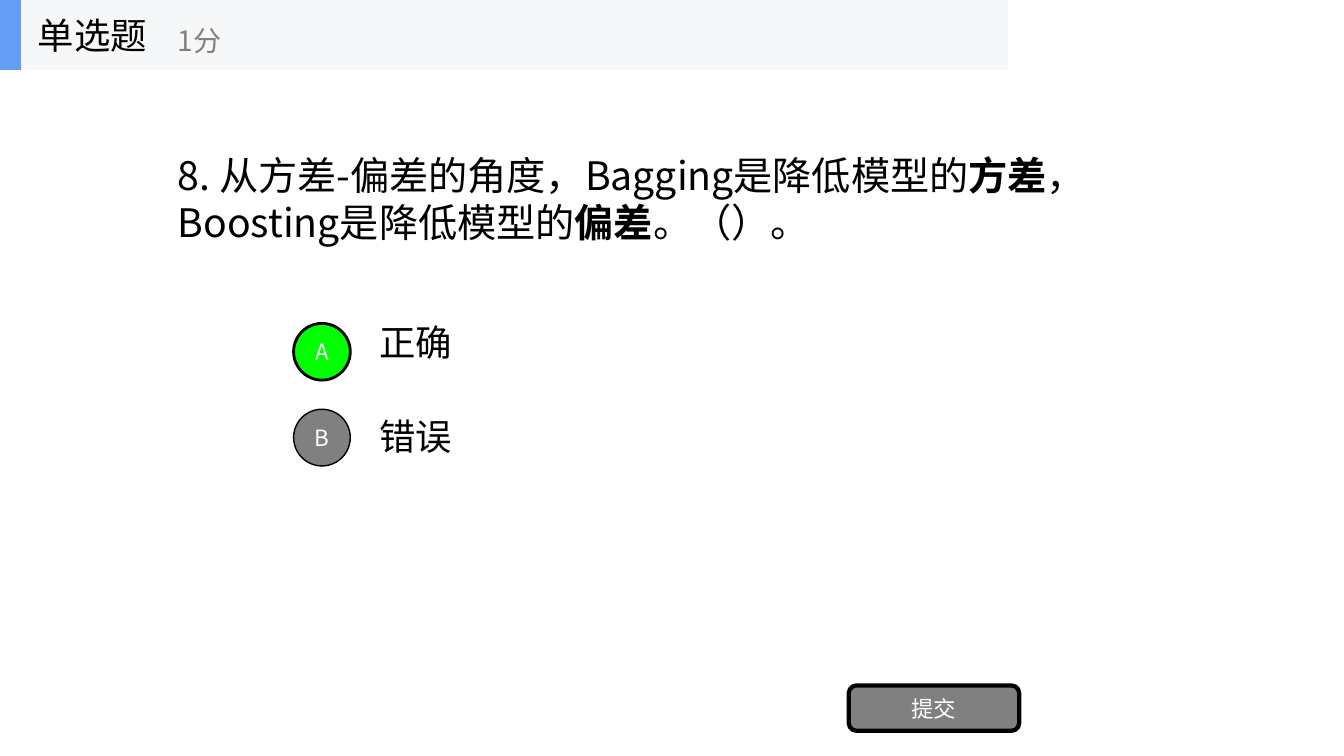
import pptx
import pptx.util
import pptx.dml.color
import pptx.enum.shapes
import pptx.enum.text
import pptx.oxml
import pptx.oxml.ns

Pt = pptx.util.Pt
Shape = pptx.enum.shapes.MSO_SHAPE
Align = pptx.enum.text.PP_ALIGN
FONT = "Noto Sans CJK SC"
BLACK, GREY, WHITE = "000000", "808080", "FFFFFF"


def rgb(value):
    return pptx.dml.color.RGBColor.from_string(value)


def write(shape, text, size=26, color=BLACK, align=Align.LEFT):
    """Fill a shape with one paragraph; parts between ** marks are bold."""
    frame = shape.text_frame
    frame.word_wrap = True
    frame.vertical_anchor = pptx.enum.text.MSO_ANCHOR.MIDDLE
    paragraph = frame.paragraphs[0]
    paragraph.alignment = align
    for index, part in enumerate(text.split("**")):
        run = paragraph.add_run()
        run.text = part
        run.font.size = Pt(size)
        run.font.name = FONT
        run.font.bold = index % 2 == 1
        run.font.color.rgb = rgb(color)
        east_asian = pptx.oxml.parse_xml(
            f'<a:ea {pptx.oxml.ns.nsdecls("a")} typeface="{FONT}"/>')
        run.font._element.find(pptx.oxml.ns.qn("a:latin")).addnext(east_asian)


def add_label(slide, box, text, **text_format):
    write(slide.shapes.add_textbox(*map(Pt, box)), text, **text_format)


def add_block(slide, kind, box, fill, line_width=0):
    block = slide.shapes.add_shape(kind, *map(Pt, box))
    block.shadow.inherit = False
    block.fill.solid()
    block.fill.fore_color.rgb = rgb(fill)
    if line_width:
        block.line.color.rgb = rgb(BLACK)
        block.line.width = Pt(line_width)
    else:
        block.line.fill.background()
    return block


def add_button(slide, kind, box, text, fill, line_width):
    button = add_block(slide, kind, box, fill, line_width)
    frame = button.text_frame
    frame.margin_left = frame.margin_right = 0
    frame.margin_top = frame.margin_bottom = 0
    write(button, text, size=16, color=WHITE, align=Align.CENTER)


def add_header(slide):
    add_block(slide, Shape.RECTANGLE, (0, 0, 720, 50), "F6F7F8")
    add_block(slide, Shape.RECTANGLE, (0, 0, 15, 50), "639EF4")
    add_label(slide, (20, 0, 150, 50), "单选题")
    add_label(slide, (120, 8.5, 180, 40), "1分", size=20, color=GREY)


def add_options(slide):
    options = [("A", "正确", "00FF00", 2), ("B", "错误", GREY, 1)]
    for row, (letter, answer, fill, line_width) in enumerate(options):
        add_label(slide, (264, 219.6 + 67 * row, 504, 50), answer)
        add_button(slide, Shape.OVAL, (209.7, 231 + 61.3 * row, 40.5, 40.5),
                   letter, fill, line_width)


def main():
    deck = pptx.Presentation()
    deck.slide_width, deck.slide_height = Pt(960), Pt(540)
    slide = deck.slides.add_slide(deck.slide_layouts[6])
    add_label(slide, (120, 57.6, 666.7, 168.5),
              "8. 从方差-偏差的角度，Bagging是降低模型的**方差**，"
              "Boosting是降低模型的**偏差**。（）。", size=28)
    add_options(slide)
    add_button(slide, Shape.ROUNDED_RECTANGLE, (606.3, 489.6, 121.7, 32.4),
               "提交", GREY, 3)
    add_header(slide)
    deck.save("out.pptx")


if __name__ == "__main__":
    main()
